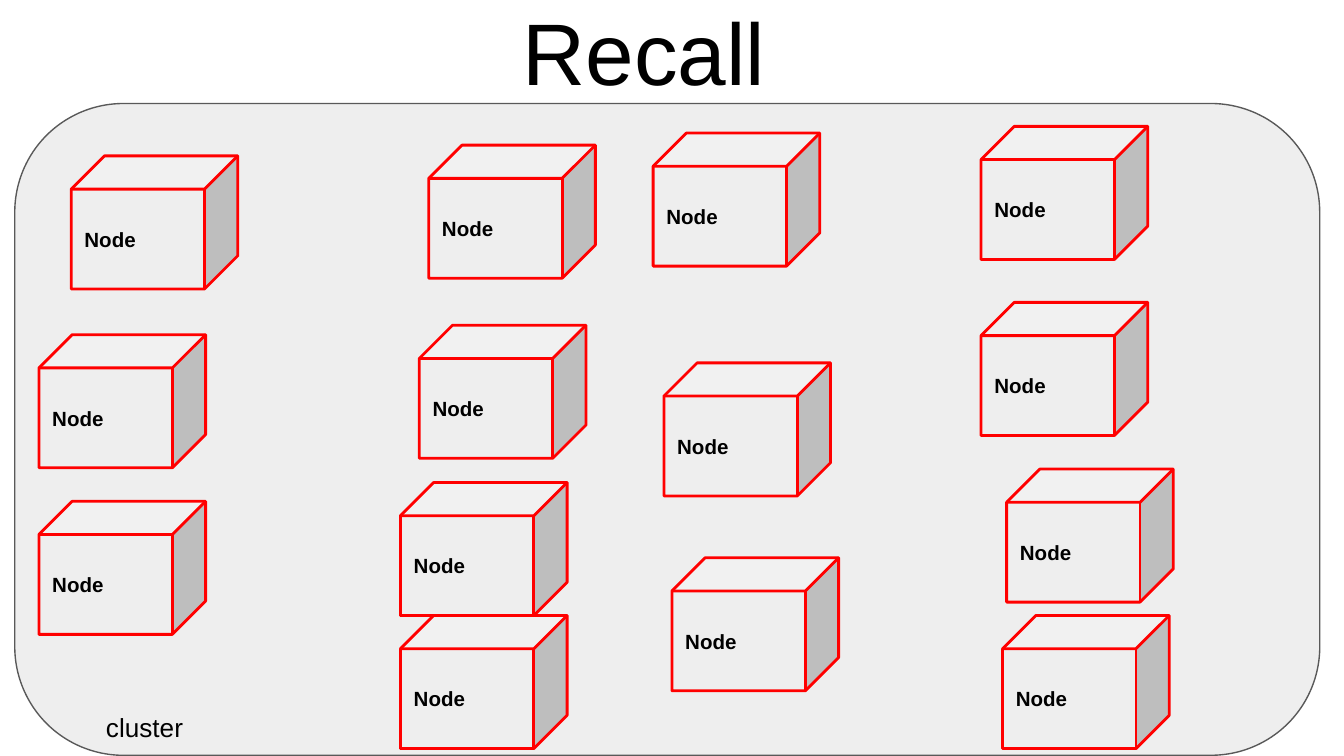
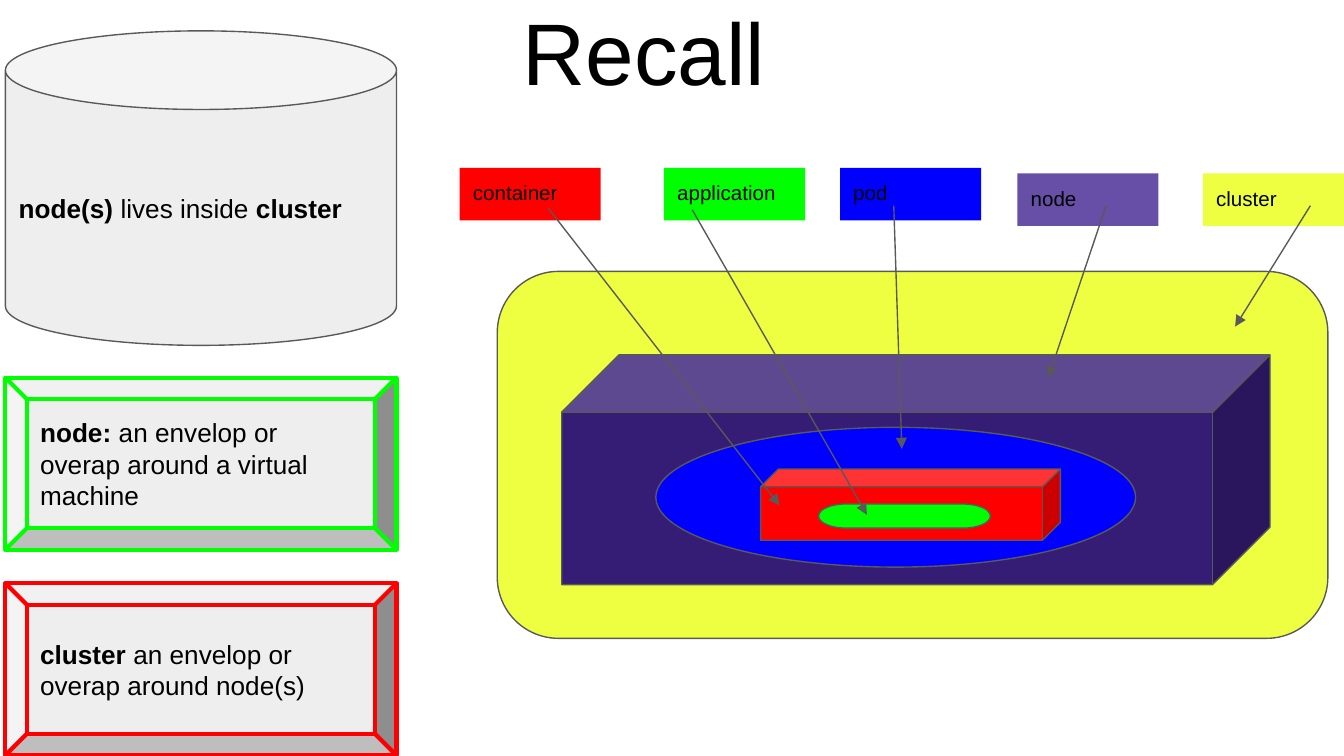
from typing import NamedTuple, Optional

from lxml import etree
from pptx import Presentation
from pptx import util as u
from pptx.dml.color import RGBColor
from pptx.enum import shapes, text
from pptx.oxml.ns import qn

# Shared style
FONT = "Arial"
BLACK, GREY, PALE = "000000", "595959", "EEEEEE"
RED, GREEN, BLUE = "FF0000", "00FF00", "0000FF"
YELLOW, PURPLE, INDIGO = "EEFF41", "674EA7", "351C75"
TITLE_PT, BODY_PT, LABEL_PT = 46.8, 14, 11
THIN = 0.75

# Grid: 100 columns across the slide, square cells
WIDTH, HEIGHT = u.Inches(10), u.Inches(5.625)
CELL = WIDTH / 100

S = shapes.MSO_SHAPE
Runs = tuple[tuple[str, bool], ...]  # (wording, bold)


class Box(NamedTuple):
    """Place on the grid, in columns and rows."""
    col: float
    row: float
    cols: float
    rows: float


class Part(NamedTuple):
    kind: S
    box: Box
    fill: str
    line: Optional[str] = GREY
    weight: float = THIN
    runs: Runs = ()
    size: float = BODY_PT


class Label(NamedTuple):
    name: str
    col: float
    row: float
    fill: str


class Arrow(NamedTuple):
    col: float
    row: float
    to_col: float
    to_row: float


def cells(*values: float) -> list[int]:
    return [round(v * CELL) for v in values]


def rgb(color: str) -> RGBColor:
    return RGBColor.from_string(color)


def write(sp, runs: Runs, size: float, anchor=text.MSO_ANCHOR.MIDDLE,
          align=text.PP_ALIGN.LEFT, grow: bool = False) -> None:
    tf = sp.text_frame
    tf.word_wrap = True
    tf.vertical_anchor = anchor
    tf.margin_left = tf.margin_right = tf.margin_top = tf.margin_bottom = u.Inches(0.1)
    if grow:
        tf.auto_size = text.MSO_AUTO_SIZE.SHAPE_TO_FIT_TEXT
    p = tf.paragraphs[0]
    p.alignment = align
    for wording, bold in runs:
        r = p.add_run()
        r.text = wording
        r.font.name, r.font.size, r.font.bold = FONT, u.Pt(size), bold
        r.font.color.rgb = rgb(BLACK)


def add_text(s, box: Box, wording: str, size: float, **style) -> None:
    sp = s.shapes.add_textbox(*cells(*box))
    write(sp, ((wording, False),), size, **style)


def add_shape(s, kind: S, box: Box, fill: str, line: Optional[str], weight: float = THIN):
    sp = s.shapes.add_shape(kind, *cells(*box))
    sp.shadow.inherit = False
    sp.fill.solid()
    sp.fill.fore_color.rgb = rgb(fill)
    if line is None:
        sp.line.fill.background()
    else:
        sp.line.color.rgb = rgb(line)
        sp.line.width = u.Pt(weight)
    return sp


def add_part(s, part: Part) -> None:
    sp = add_shape(s, part.kind, part.box, part.fill, part.line, part.weight)
    if part.runs:
        write(sp, part.runs, part.size)


def add_label(s, label: Label) -> None:
    sp = add_shape(s, S.RECTANGLE, Box(label.col, label.row, 10.5, 3.9), label.fill, None)
    write(sp, ((label.name, False),), LABEL_PT, anchor=text.MSO_ANCHOR.TOP, grow=True)


def add_arrow(s, arrow: Arrow) -> None:
    c = s.shapes.add_connector(shapes.MSO_CONNECTOR.STRAIGHT, *cells(*arrow))
    c.line.color.rgb = rgb(GREY)
    c.line.width = u.Pt(THIN)
    etree.SubElement(c.line._get_or_add_ln(), qn("a:tailEnd"), type="triangle")
    etree.SubElement(c._element.spPr, qn("a:effectLst"))


def add_slide(prs):
    s = prs.slides.add_slide(prs.slide_layouts[6])
    add_text(s, Box(1.3, 0, 93.2, 8.7), "Recall", TITLE_PT,
             anchor=text.MSO_ANCHOR.BOTTOM, align=text.PP_ALIGN.CENTER)
    return s


# Slide 1: nodes scattered over the cluster, as (column, row)
CLUSTER = Part(S.FLOWCHART_ALTERNATE_PROCESS, Box(1.1, 7.7, 97.1, 48.5), PALE)
NODES = (
    (5.3, 11.6), (2.9, 24.9), (2.9, 37.3),
    (31.9, 10.8), (31.2, 24.2), (29.8, 35.9), (29.8, 45.8),
    (48.6, 9.9), (49.4, 27), (50, 41.5),
    (73, 9.4), (73, 22.5), (74.9, 34.9), (74.6, 45.8),
)

# Slide 2: definitions on the left, nested layers on the right
DEFINITIONS = (
    Part(S.CAN, Box(0.4, 2.3, 29.1, 23.4), PALE,
         runs=(("node(s) ", True), ("lives inside ", False), ("cluster", True))),
    Part(S.BEVEL, Box(0.4, 28.1, 29.1, 12.8), PALE, GREEN, 2.25,
         (("node: ", True), ("an envelop or overap around a virtual machine", False))),
    Part(S.BEVEL, Box(0.4, 43.4, 29.1, 12.8), PALE, RED, 2.25,
         (("cluster ", True), ("an envelop or overap around node(s)", False))),
)
LAYERS = (
    Part(S.ROUNDED_RECTANGLE, Box(37, 20.2, 61.8, 27.3), YELLOW),
    Part(S.CUBE, Box(41.8, 26.4, 52.7, 17.1), INDIGO),
    Part(S.OVAL, Box(48.8, 31.8, 35.7, 10.4), BLUE),
    Part(S.CUBE, Box(56.6, 34.9, 22.3, 5.3), RED),
    Part(S.FLOWCHART_TERMINATOR, Box(60.9, 37.5, 12.8, 1.8), GREEN),
)
LABELS = (
    Label("container", 34.2, 12.5, RED),
    Label("application", 49.4, 12.5, GREEN),
    Label("pod", 62.5, 12.5, BLUE),
    Label("node", 75.7, 12.9, PURPLE),
    Label("cluster", 89.5, 12.9, YELLOW),
)
ARROWS = (
    Arrow(40.8, 15.5, 58, 37.6),
    Arrow(51.5, 15.6, 64.5, 38.3),
    Arrow(66.5, 15.3, 67.1, 33.4),
    Arrow(82.3, 15.3, 78, 28.1),
    Arrow(97.5, 15.3, 91.9, 24.3),
)


def build_nodes_slide(prs) -> None:
    s = add_slide(prs)
    add_part(s, CLUSTER)
    for col, row in NODES:
        add_part(s, Part(S.CUBE, Box(col, row, 12.4, 9.9), PALE, RED, 1.5,
                         (("Node", True),), LABEL_PT))
    add_text(s, Box(6.9, 51.9, 8.3, 4.4), "cluster", BODY_PT,
             anchor=text.MSO_ANCHOR.TOP, grow=True)


def build_layers_slide(prs) -> None:
    s = add_slide(prs)
    for part in DEFINITIONS + LAYERS:
        add_part(s, part)
    for label in LABELS:
        add_label(s, label)
    for arrow in ARROWS:
        add_arrow(s, arrow)


def main() -> None:
    prs = Presentation()
    prs.slide_width, prs.slide_height = WIDTH, HEIGHT
    build_nodes_slide(prs)
    build_layers_slide(prs)
    prs.save("out.pptx")


if __name__ == "__main__":
    main()
